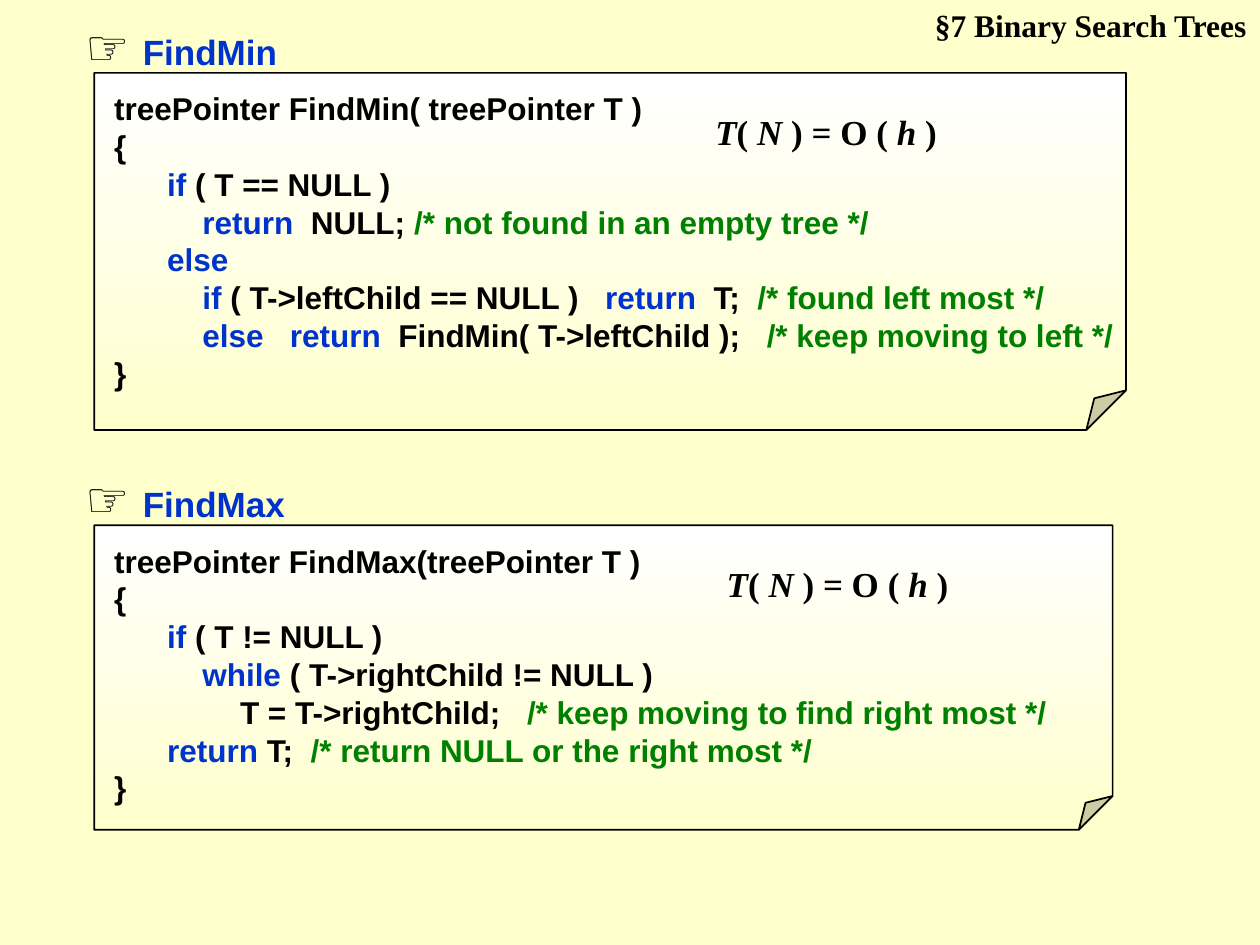
from dataclasses import dataclass

from pptx import Presentation
from pptx.dml.color import RGBColor
from pptx.enum.shapes import MSO_SHAPE
from pptx.enum.text import MSO_ANCHOR, PP_ALIGN
from pptx.slide import Slide
from pptx.text.text import TextFrame
from pptx.util import Cm, Pt

FOLDED_CORNER = MSO_SHAPE.FOLDED_CORNER
TOP = MSO_ANCHOR.TOP
LEFT, RIGHT = PP_ALIGN.LEFT, PP_ALIGN.RIGHT


@dataclass(frozen=True)
class Theme:
    paper: RGBColor = RGBColor(0xFF, 0xFF, 0xCC)
    white: RGBColor = RGBColor(0xFF, 0xFF, 0xFF)
    ink: RGBColor = RGBColor(0, 0, 0)
    keyword: RGBColor = RGBColor(0x00, 0x33, 0xCC)
    comment: RGBColor = RGBColor(0x00, 0x80, 0x00)
    sans: str = "Arial"
    serif: str = "Times New Roman"
    body_size: int = 18
    heading_size: int = 20
    hand_size: int = 28


THEME = Theme()


@dataclass(frozen=True)
class Span:
    text: str
    color: RGBColor = THEME.ink
    size: int = THEME.body_size
    italic: bool = False


@dataclass(frozen=True)
class Line:
    level: int
    spans: tuple[Span, ...]


@dataclass(frozen=True)
class Routine:
    name: str
    top: float
    card_width: float
    card_height: float
    formula_left: float
    code: tuple[Line, ...]


def keyword(text: str) -> Span:
    return Span(text, THEME.keyword)


def comment(text: str) -> Span:
    return Span(text, THEME.comment)


def line(level: int, *spans: Span) -> Line:
    return Line(level, spans)


# Distances in centimetres
CODE_INDENTS = (0, 1.07, 1.78, 2.54)
HEADING_LEFT, CARD_LEFT = 1.47, 1.9
CARD_DROP, FORMULA_DROP = 1.27, 1.9

# Size of the folded corner, in 1/100000 of the card's shorter side
FOLD = 11100

FORMULA = line(0, *(
    Span(text, size=THEME.heading_size, italic=italic)
    for text, italic in (("T", True), ("( ", False), ("N", True),
                         (" ) = O ( ", False), ("h", True), (" )", False))
))

ROUTINES = (
    Routine("FindMin", 0.2, 20.8, 7.2, 14.17, (
        line(0, Span("treePointer FindMin( treePointer T )")),
        line(0, Span("{")),
        line(1, keyword("if"), Span(" ( T == NULL )")),
        line(2, keyword("return"), Span("  NULL; "),
             comment("/* not found in an empty tree */")),
        line(1, keyword("else")),
        line(2, keyword("if "), Span("( T->leftChild == NULL )   "),
             keyword("return"), Span("  T;  "),
             comment("/* found left most */")),
        line(2, keyword("else   return"),
             Span("  FindMin( T->leftChild );   "),
             comment("/* keep moving to left */")),
        line(0, Span("}")),
    )),
    Routine("FindMax", 9.32, 20.53, 6.14, 14.4, (
        line(0, Span("treePointer FindMax(treePointer T )")),
        line(0, Span("{")),
        line(1, keyword("if"), Span(" ( T != NULL )")),
        line(2, keyword("while "), Span("( T->rightChild != NULL )")),
        line(3, Span("T = T->rightChild;   "),
             comment("/* keep moving to find right most */")),
        line(1, keyword("return"), Span(" T;  "),
             comment("/* return NULL or the right most */")),
        line(0, Span("}")),
    )),
)


def write(frame: TextFrame, lines: tuple[Line, ...], *, font: str = THEME.sans,
          align: PP_ALIGN = LEFT, space_after: float = 0) -> None:
    frame.word_wrap = True
    frame.vertical_anchor = TOP
    for index, content in enumerate(lines):
        paragraph = frame.add_paragraph() if index else frame.paragraphs[0]
        paragraph.alignment = align
        paragraph.space_after = Pt(space_after)
        indent = Cm(CODE_INDENTS[content.level])
        if indent:
            properties = paragraph._p.get_or_add_pPr()
            properties.set("marL", str(int(indent)))
            properties.set("indent", "0")
        for span in content.spans:
            run = paragraph.add_run()
            run.text = span.text
            run.font.name = font
            run.font.size = Pt(span.size)
            run.font.bold = True
            run.font.italic = span.italic
            run.font.color.rgb = span.color


def add_label(slide: Slide, left: float, top: float, width: float,
              height: float) -> TextFrame:
    return slide.shapes.add_textbox(
        Cm(left), Cm(top), Cm(width), Cm(height)).text_frame


def add_card(slide: Slide, routine: Routine) -> None:
    card = slide.shapes.add_shape(
        FOLDED_CORNER, Cm(CARD_LEFT), Cm(routine.top + CARD_DROP),
        Cm(routine.card_width), Cm(routine.card_height))
    # This preset has no entry in shape.adjustments
    card._element.spPr.prstGeom.rewrite_guides([("adj", FOLD)])
    card.shadow.inherit = False
    card.fill.gradient()
    card.fill.gradient_angle = 270
    for stop, color in zip(card.fill.gradient_stops, (THEME.white, THEME.paper)):
        stop.color.rgb = color
    card.line.color.rgb = THEME.ink
    card.line.width = Pt(1)
    frame = card.text_frame
    frame.margin_left, frame.margin_top = Cm(0.4), Cm(0.33)
    frame.margin_right, frame.margin_bottom = Cm(0.1), Cm(0.13)
    write(frame, routine.code)


def add_routine(slide: Slide, routine: Routine) -> None:
    heading = line(0, Span("☞ ", size=THEME.hand_size),
                   Span(routine.name, THEME.keyword, THEME.heading_size))
    write(add_label(slide, HEADING_LEFT, routine.top, 6, 1.45), (heading,),
          space_after=5)
    add_card(slide, routine)
    write(add_label(slide, routine.formula_left, routine.top + FORMULA_DROP,
                    6.15, 1.1), (FORMULA,), font=THEME.serif)


def main() -> None:
    deck = Presentation()
    deck.slide_width, deck.slide_height = Cm(25.4), Cm(19.05)
    slide = deck.slides.add_slide(deck.slide_layouts[6])
    slide.background.fill.solid()
    slide.background.fill.fore_color.rgb = THEME.paper

    # Section title
    write(add_label(slide, 17.78, 0, 7.6, 1.02),
          (line(0, Span("§7 Binary Search Trees")),),
          font=THEME.serif, align=RIGHT)

    # Heading, code card and running time of each routine
    for routine in ROUTINES:
        add_routine(slide, routine)

    deck.save("out.pptx")


if __name__ == "__main__":
    main()
